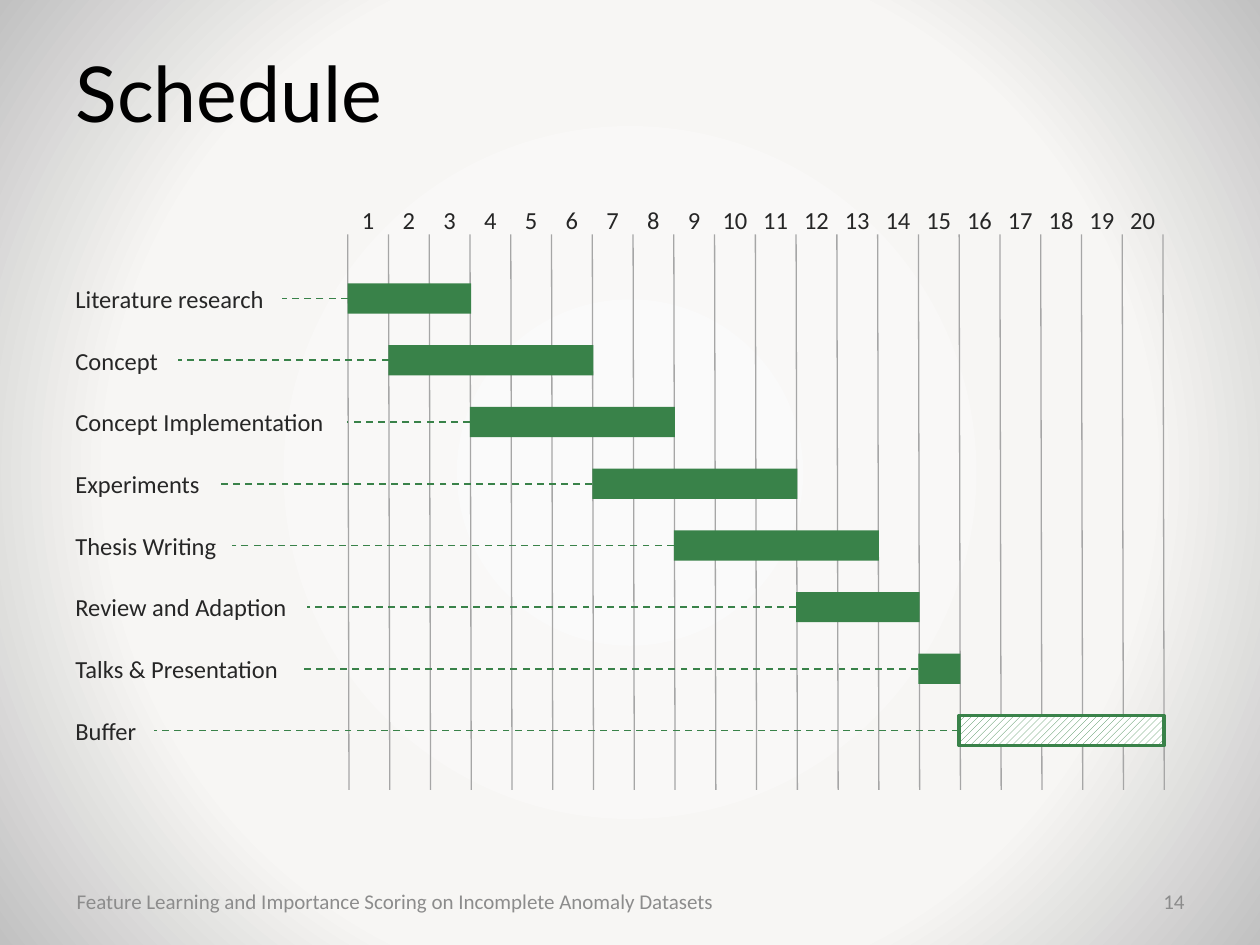
"""Build a thesis schedule slide with a twenty-week Gantt chart."""
from dataclasses import dataclass, field

from lxml import etree
from pptx import Presentation
from pptx import util as u
from pptx.dml import color
from pptx.enum import dml, shapes, text
from pptx.oxml import ns, parse_xml

WEEKS = 20
LEFT, RIGHT = 27.6, 92.3
WEEK = (RIGHT - LEFT) / WEEKS
HEADER, GRID_TOP, GRID_BOTTOM = 21.6, 24.8, 83.6
FIRST_ROW, ROW_PITCH, BAR_HEIGHT = 30, 6.53, 3.2
LABEL_LEFT = 5
GREEN = "398249"

TASKS = [
    ("Literature research", 17.4, 0, 3),
    ("Concept", 9.1, 1, 6),
    ("Concept Implementation", 22.5, 3, 8),
    ("Experiments", 12.3, 6, 11),
    ("Thesis Writing", 13.4, 8, 13),
    ("Review and Adaption", 19.4, 11, 14),
    ("Talks & Presentation", 18.8, 14, 15),
    ("Buffer", 7.2, 15, 20),
]
BACKGROUND = [(0, "FAFAFA"), (66, "F7F6F4"), (100, "C1C1C1")]


def rgb(value):
    """Turn a hex string into a colour."""
    return color.RGBColor.from_string(value)


def apply(target, values):
    """Set attributes of an object from a dict of format values."""
    for name, value in values.items():
        setattr(target, name, value)


def column(week):
    """Give the left edge of a week as a percentage of the slide's width."""
    return LEFT + week * WEEK


@dataclass
class Canvas:
    """Hold the style and the current slide; lengths are percentages of its size."""

    presentation: object
    slide: object
    body: dict = field(default_factory=lambda: {"name": "Calibri", "size": u.Pt(14)})
    ink: str = "262626"

    def place(self, *lengths):
        """Convert horizontal and vertical percentages, in turn, to lengths."""
        size = self.presentation.slide_width, self.presentation.slide_height
        return [u.Emu(round(size[i % 2] * share / 100)) for i, share in enumerate(lengths)]

    def background(self, stops):
        """Fill the background with a circular gradient."""
        fill = self.slide.background.fill
        fill.gradient()
        old = self.slide.element.find(".//" + ns.qn("a:gradFill"))
        items = "".join(
            f'<a:gs pos="{position * 1000}"><a:srgbClr val="{value}"/></a:gs>'
            for position, value in stops
        )
        old.getparent().replace(old, parse_xml(
            f'<a:gradFill {ns.nsdecls("a")} rotWithShape="1"><a:gsLst>{items}</a:gsLst>'
            '<a:path path="circle"><a:fillToRect l="50000" t="50000" r="50000" b="50000"/>'
            "</a:path></a:gradFill>"
        ))

    def set_text(self, shape, words, ink, font, align=text.PP_ALIGN.LEFT, margin=0.1):
        """Put one formatted paragraph into a shape."""
        apply(shape.text_frame, {
            "text": words,
            "word_wrap": True,
            "auto_size": text.MSO_AUTO_SIZE.NONE,
            "vertical_anchor": text.MSO_ANCHOR.MIDDLE,
            "margin_left": u.Inches(margin),
            "margin_right": u.Inches(margin),
        })
        paragraph = shape.text_frame.paragraphs[0]
        paragraph.alignment = align
        apply(paragraph.font, font)
        paragraph.font.color.rgb = rgb(ink)

    def title(self, words, box):
        """Move, fill and format the title placeholder."""
        shape = self.slide.shapes.title
        apply(shape, dict(zip(("left", "top", "width", "height"), self.place(*box))))
        self.set_text(shape, words, "000000", {"name": "Lato", "size": u.Pt(44)})

    def label(self, words, box, ink=None, size=14, **options):
        """Add a text box."""
        shape = self.slide.shapes.add_textbox(*self.place(*box))
        self.set_text(shape, words, ink or self.ink, {**self.body, "size": u.Pt(size)}, **options)

    def line(self, ends, ink, width, dash=None):
        """Add a straight line without a shadow."""
        connector = self.slide.shapes.add_connector(
            shapes.MSO_CONNECTOR.STRAIGHT, *self.place(*ends))
        apply(connector.line, {"width": u.Pt(width), "dash_style": dash})
        connector.line.color.rgb = rgb(ink)
        etree.SubElement(connector.element.spPr, ns.qn("a:effectLst"))

    def bar(self, box, ink, hatched=False):
        """Add a solid bar, or a hatched one with an outline."""
        shape = self.slide.shapes.add_shape(shapes.MSO_SHAPE.RECTANGLE, *self.place(*box))
        shape.shadow.inherit = False
        if hatched:
            shape.fill.patterned()
            shape.fill.pattern = dml.MSO_PATTERN.WIDE_UPWARD_DIAGONAL
            shape.fill.fore_color.rgb = rgb(ink)
            shape.fill.back_color.rgb = rgb("FFFFFF")
            shape.line.color.rgb = rgb(ink)
            shape.line.width = u.Pt(2)
        else:
            shape.fill.solid()
            shape.fill.fore_color.rgb = rgb(ink)
            shape.line.fill.background()


def main():
    """Build and save the slide."""
    presentation = Presentation()
    apply(presentation, {"slide_width": u.Inches(10), "slide_height": u.Inches(7.5)})
    canvas = Canvas(presentation, presentation.slides.add_slide(presentation.slide_layouts[5]))
    canvas.background(BACKGROUND)

    for week in range(WEEKS + 1):
        canvas.line((column(week), GRID_TOP, column(week) + 0.1, GRID_BOTTOM), "A6A6A6", 0.75)
    canvas.title("Schedule", (5, 4, 90, 11.33))
    canvas.label("Feature Learning and Importance Scoring on Incomplete Anomaly Datasets",
                 (5.1, 92.67, 72.4, 5.33), "8C8C8C", 12)
    canvas.label("14", (79.1, 92.67, 15.9, 5.33), "8C8C8C", 12, align=text.PP_ALIGN.RIGHT)
    for week in range(WEEKS):
        canvas.label(str(week + 1), (column(week), HEADER, WEEK, BAR_HEIGHT),
                     align=text.PP_ALIGN.CENTER, margin=0.04)

    for row, (name, width, start, end) in enumerate(TASKS):
        top = FIRST_ROW + row * ROW_PITCH
        middle = top + BAR_HEIGHT / 2
        canvas.label(name, (LABEL_LEFT, top, width, BAR_HEIGHT))
        canvas.line((column(start), middle, LABEL_LEFT + width, middle),
                    GREEN, 1, dml.MSO_LINE.DASH)
        canvas.bar((column(start), top, (end - start) * WEEK + 0.1, BAR_HEIGHT),
                   GREEN, hatched=name == "Buffer")

    presentation.save("out.pptx")


if __name__ == "__main__":
    main()
